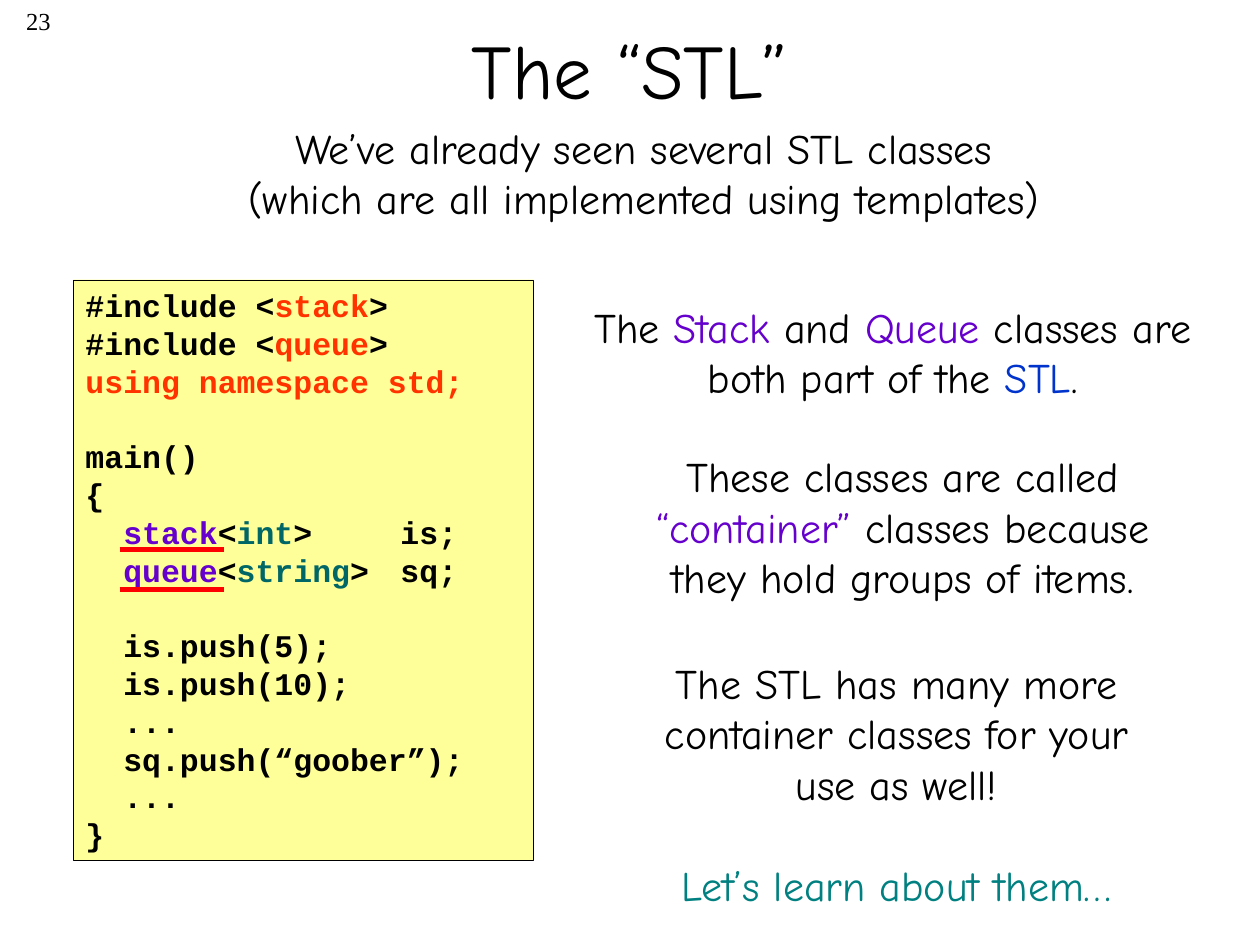
from lxml.etree import SubElement
from pptx import Presentation
from pptx.dml.color import RGBColor
from pptx.enum.shapes import MSO_CONNECTOR, MSO_SHAPE
from pptx.enum.text import MSO_ANCHOR, PP_ALIGN
from pptx.oxml.ns import qn
from pptx.util import Inches, Pt

BLACK, RED, PURPLE, GREEN = "000000", "FF3300", "6600CC", "006666"
BLUE, TEAL, YELLOW, UNDERLINE = "0033CC", "008080", "FFFF99", "FF0000"
HAND, CODE, SERIF = "Comic Neue", "Courier New", "Times New Roman"
LINE_FACTOR = 1.2


def color(value):
    return RGBColor.from_string(value)


def write(shape, lines, font, size, align=PP_ALIGN.CENTER, bold=False,
          wrap=True, anchor=MSO_ANCHOR.TOP):
    frame = shape.text_frame
    frame.word_wrap = wrap
    frame.vertical_anchor = anchor
    line_height = Pt(size * LINE_FACTOR)
    para = frame.paragraphs[0]
    gap = False
    for index, line in enumerate(lines):
        if not line:
            gap = True
            continue
        if index:
            para = frame.add_paragraph()
        para.alignment = align
        para.line_spacing = line_height
        para.space_before = line_height if gap else Pt(0)
        gap = False
        for part in line:
            text, tint = part if isinstance(part, tuple) else (part, BLACK)
            span = para.add_run()
            span.text = text
            span.font.name = font
            span.font.size = Pt(size)
            span.font.bold = bold
            span.font.color.rgb = color(tint)


def add_text(page, box, lines, font=HAND, size=24, **options):
    shape = page.shapes.add_textbox(*map(Inches, box))
    write(shape, lines, font, size, **options)


def add_underline(page, left, top, width):
    line = page.shapes.add_connector(
        MSO_CONNECTOR.STRAIGHT, Inches(left), Inches(top),
        Inches(left + width), Inches(top))
    line.line.color.rgb = color(UNDERLINE)
    line.line.width = Pt(3)
    SubElement(line._element.spPr, qn("a:effectLst"))


def add_heading(page, box):
    left, top, width, height = box
    add_text(page, (left, top, width, 1.25), [["The “STL”"]], size=44,
             anchor=MSO_ANCHOR.MIDDLE)
    add_text(page, (left + 0.88, top + 1, 6.96, height - 1),
             [["We’ve already seen several STL classes"],
              ["(which are all implemented using templates)"]], wrap=False)


def add_code(page, box):
    left, top, width, height = box
    panel = page.shapes.add_shape(MSO_SHAPE.RECTANGLE, *map(Inches, box))
    panel.shadow.inherit = False
    panel.fill.solid()
    panel.fill.fore_color.rgb = color(YELLOW)
    panel.line.color.rgb = color(BLACK)
    panel.line.width = Pt(0.25)
    lines = [
        ["#include <", ("stack", RED), ">"],
        ["#include <", ("queue", RED), ">"],
        [("using namespace std;", RED)],
        [],
        ["main()"],
        ["{"],
        ["  ", ("stack", PURPLE), "<", ("int", GREEN), ">\t\tis;"],
        ["  ", ("queue", PURPLE), "<", ("string", GREEN), ">\tsq;"],
        [],
        ["  is.push(5);"],
        ["  is.push(10);"],
        ["  ..."],
        ["  sq.push(“goober”);"],
        ["  ..."],
        ["}"],
    ]
    write(panel, lines, CODE, 18, align=PP_ALIGN.LEFT, bold=True, wrap=False)
    for offset in (2.14, 2.46):
        add_underline(page, left + 0.37, top + offset, 0.83)


def add_explanation(page, box):
    left, top, width, height = box
    add_text(page, (left, top, width, 0.91), [
        ["The ", ("Stack", PURPLE), " and ", ("Queue", PURPLE),
         " classes are both part of the ", ("STL", BLUE), "."]])
    add_text(page, (left + 0.33, top + 1.19, 4.67, 1.3), [
        ["These classes are called ", ("“container”", PURPLE),
         " classes because they hold groups of items."]])
    add_text(page, (left + 0.42, top + 2.83, 4.39, height - 2.83), [
        ["The STL has many more container classes for your use as well!"],
        [],
        [("Let’s learn about them…", TEAL)]])


def main():
    deck = Presentation()
    deck.slide_width, deck.slide_height = Inches(10), Inches(7.5)
    page = deck.slides.add_slide(deck.slide_layouts[6])
    add_text(page, (0, 0, 0.5, 0.5), [["23"]], SERIF, 14,
             align=PP_ALIGN.RIGHT)
    add_heading(page, (0.75, -0.08, 8.5, 1.9))
    add_code(page, (0.58, 2.22, 3.65, 4.61))
    add_explanation(page, (4.5, 2.34, 5.17, 4.93))
    deck.save("out.pptx")


if __name__ == "__main__":
    main()
